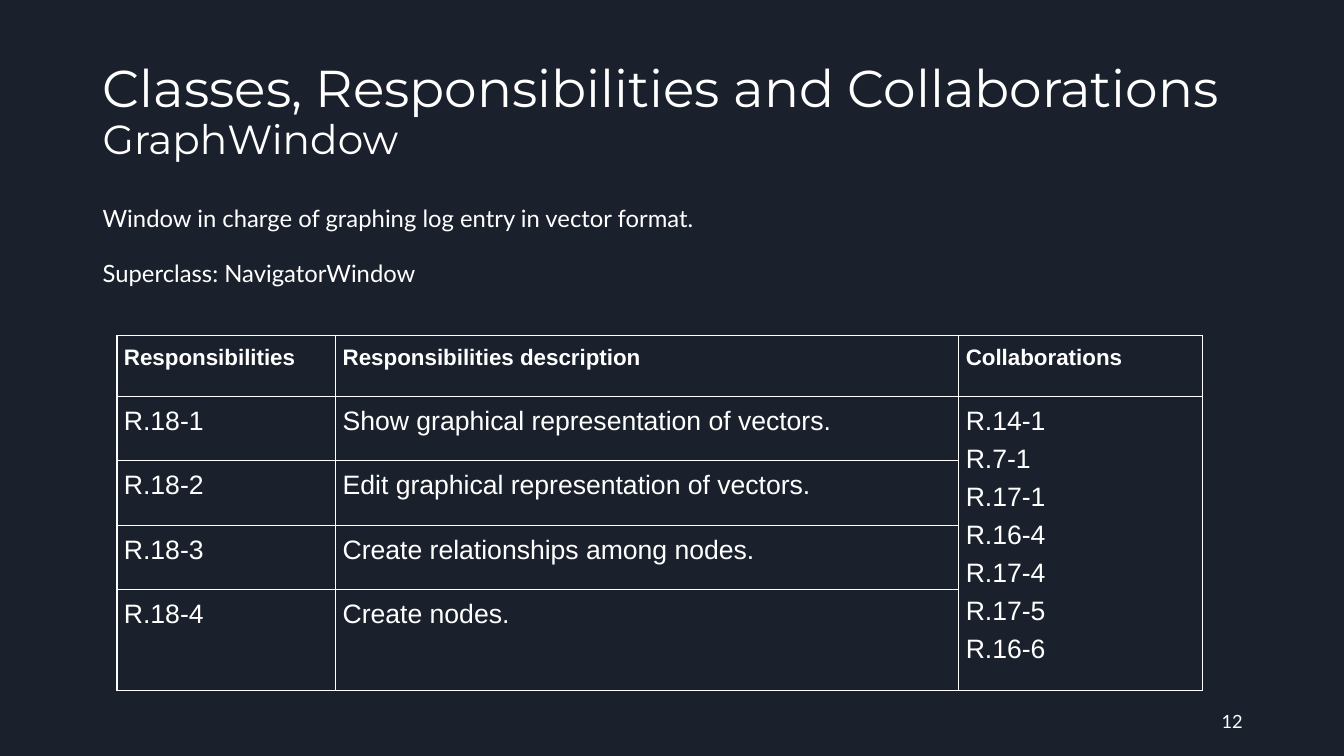
from dataclasses import dataclass

from lxml.etree import SubElement
from pptx import Presentation
from pptx.dml.color import RGBColor
from pptx.enum.text import MSO_ANCHOR, PP_ALIGN
from pptx.oxml.ns import qn
from pptx.util import Emu, Inches, Pt


@dataclass(frozen=True)
class Theme:
    background: str = "1B212C"
    ink: str = "FFFFFF"
    title_font: str = "Montserrat"
    body_font: str = "Lato"
    table_font: str = "Arial"
    title_size: int = 37
    subtitle_size: int = 29
    body_size: int = 17
    number_size: int = 13
    header_size: int = 16
    cell_size: int = 19
    border_width: int = 1


THEME = Theme()
WIDTH, HEIGHT = Inches(13.33), Inches(7.5)
LEFT_MARGIN, CONTENT_WIDTH = 0.069, 0.863
COLUMN_WIDTHS = (2.17, 6.18, 2.42)
ROW_HEIGHTS = (0.6, 0.64, 0.64, 0.64, 0.91)
HEADERS = ("Responsibilities", "Responsibilities description", "Collaborations")
RESPONSIBILITIES = (
    ("R.18-1", "Show graphical representation of vectors."),
    ("R.18-2", "Edit graphical representation of vectors."),
    ("R.18-3", "Create relationships among nodes."),
    ("R.18-4", "Create nodes."),
)
COLLABORATIONS = ("R.14-1", "R.7-1", "R.17-1", "R.16-4", "R.17-4", "R.17-5", "R.16-6")


def place(left, top, width, height):
    return (Emu(round(WIDTH * left)), Emu(round(HEIGHT * top)),
            Emu(round(WIDTH * width)), Emu(round(HEIGHT * height)))


def write(frame, text, *, font, size, bold=False, align=PP_ALIGN.LEFT,
          before=0, after=0, line=1.0):
    first = frame.paragraphs[0]
    para = frame.add_paragraph() if first.runs else first
    para.alignment = align
    para.space_before, para.space_after = Pt(before), Pt(after)
    para.line_spacing = line
    span = para.add_run()
    span.text = text
    span.font.name = font
    span.font.size = Pt(size)
    span.font.bold = bold
    span.font.color.rgb = RGBColor.from_string(THEME.ink)


def add_box(page, left, top, width, height, anchor=MSO_ANCHOR.TOP):
    box = page.shapes.add_textbox(*place(left, top, width, height))
    frame = box.text_frame
    frame.word_wrap = True
    frame.vertical_anchor = anchor
    return frame


def add_borders(cell):
    properties = cell._tc.get_or_add_tcPr()
    for side in ("a:lnL", "a:lnR", "a:lnT", "a:lnB"):
        border = SubElement(properties, qn(side), w=str(Pt(THEME.border_width)))
        fill = SubElement(border, qn("a:solidFill"))
        SubElement(fill, qn("a:srgbClr"), val=THEME.ink)


def style_cell(cell):
    cell.margin_left = cell.margin_right = Inches(0.07)
    cell.margin_top = cell.margin_bottom = Inches(0.1)
    add_borders(cell)
    cell.fill.background()


def write_cell(cell, *lines, size=THEME.cell_size, bold=False):
    for text in lines:
        write(cell.text_frame, text, font=THEME.table_font, size=size, bold=bold,
              before=6, after=6 if text == lines[-1] else 0)


def add_responsibility_table(page):
    area = place(0.087, 0.444, sum(COLUMN_WIDTHS) / 13.33, sum(ROW_HEIGHTS) / 7.5)
    table = page.shapes.add_table(len(ROW_HEIGHTS), len(COLUMN_WIDTHS), *area).table
    table.first_row = table.horz_banding = False
    for column, width in zip(table.columns, COLUMN_WIDTHS):
        column.width = Inches(width)
    for row, height in zip(table.rows, ROW_HEIGHTS):
        row.height = Inches(height)
        for cell in row.cells:
            style_cell(cell)
    for column, header in enumerate(HEADERS):
        write_cell(table.cell(0, column), header, size=THEME.header_size, bold=True)
    for row, texts in enumerate(RESPONSIBILITIES, start=1):
        for column, text in enumerate(texts):
            write_cell(table.cell(row, column), text)
    collaborations = table.cell(1, 2)
    collaborations.merge(table.cell(len(RESPONSIBILITIES), 2))
    write_cell(collaborations, *COLLABORATIONS)


def main():
    deck = Presentation()
    deck.slide_width, deck.slide_height = WIDTH, HEIGHT
    page = deck.slides.add_slide(deck.slide_layouts[6])
    page.background.fill.solid()
    page.background.fill.fore_color.rgb = RGBColor.from_string(THEME.background)

    title = add_box(page, LEFT_MARGIN, 0.053, CONTENT_WIDTH, 0.193, MSO_ANCHOR.MIDDLE)
    write(title, "Classes, Responsibilities and Collaborations",
          font=THEME.title_font, size=THEME.title_size, line=0.9)
    write(title, "GraphWindow", font=THEME.title_font, size=THEME.subtitle_size, line=0.9)

    number = add_box(page, 0.707, 0.927, 0.225, 0.053, MSO_ANCHOR.MIDDLE)
    write(number, "12", font=THEME.body_font, size=THEME.number_size, align=PP_ALIGN.RIGHT)

    summary = add_box(page, LEFT_MARGIN, 0.267, CONTENT_WIDTH, 0.635)
    write(summary, "Window in charge of graphing log entry in vector format.",
          font=THEME.body_font, size=THEME.body_size, before=10, line=0.9)
    write(summary, "Superclass: NavigatorWindow",
          font=THEME.body_font, size=THEME.body_size, before=21, line=0.9)

    add_responsibility_table(page)
    deck.save("out.pptx")


if __name__ == "__main__":
    main()
